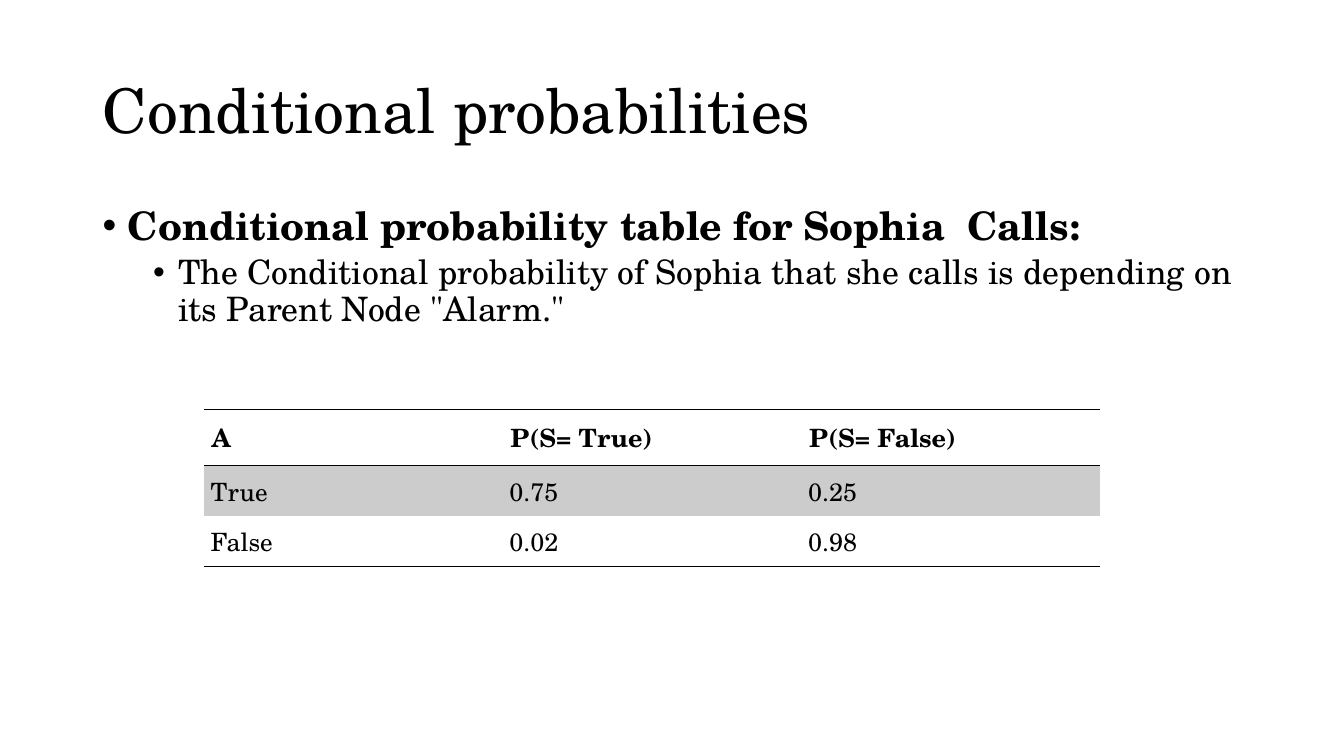
from dataclasses import dataclass

from lxml import etree
from pptx import Presentation, util as u
from pptx.dml.color import RGBColor
from pptx.enum import text
from pptx.oxml import ns


@dataclass(frozen=True)
class Theme:
    font: str = "TeX Gyre Schola"
    ink: RGBColor = RGBColor(0x00, 0x00, 0x00)
    band: RGBColor = RGBColor(0xCC, 0xCC, 0xCC)
    title: int = 44
    heading: int = 28
    detail: int = 24
    cell: int = 18
    rule: int = 1


THEME = Theme()
PROBABILITIES = [
    ["A", "P(S= True)", "P(S= False)"],
    ["True", "0.75", "0.25"],
    ["False", "0.02", "0.98"],
]
NO_STYLE = "{2D5ABB26-0587-4C30-8999-92F81FD0307C}"


def write(para, words, size, bold=False, line_spacing=1.0, before=0):
    span = para.add_run()
    span.text = words
    span.font.name = THEME.font
    span.font.size = u.Pt(size)
    span.font.bold = bold
    span.font.color.rgb = THEME.ink
    para.alignment = text.PP_ALIGN.LEFT
    para.line_spacing = line_spacing
    para.space_before = u.Pt(before)


def place(shape, left, top, width, height):
    shape.left, shape.top = u.Inches(left), u.Inches(top)
    shape.width, shape.height = u.Inches(width), u.Inches(height)


def add_bullet(para, indent):
    """Hang a round bullet a quarter inch before the indent."""
    props = para._p.get_or_add_pPr()
    props.set("marL", str(u.Inches(indent)))
    props.set("indent", str(u.Inches(-0.25)))
    etree.SubElement(props, ns.qn("a:buFont"), typeface="Arial")
    etree.SubElement(props, ns.qn("a:buChar"), char="•")


def set_borders(cell, ruled):
    """Rule the named sides (T, B) and clear the others."""
    props = cell._tc.get_or_add_tcPr()
    for position, side in enumerate("LRTB"):
        line = etree.Element(ns.qn(f"a:ln{side}"), w=str(u.Pt(THEME.rule)))
        if side in ruled:
            fill = etree.SubElement(line, ns.qn("a:solidFill"))
            etree.SubElement(fill, ns.qn("a:srgbClr"), val=str(THEME.ink))
        else:
            etree.SubElement(line, ns.qn("a:noFill"))
        props.insert(position, line)


def add_title(page, words):
    title = page.shapes.title
    place(title, 0.92, 0.4, 11.5, 1.45)
    title.text_frame.vertical_anchor = text.MSO_ANCHOR.MIDDLE
    write(title.text_frame.paragraphs[0], words, THEME.title, line_spacing=0.9)


def add_bullets(page, heading, detail):
    box = page.shapes.add_textbox(0, 0, 0, 0)
    place(box, 0.92, 2, 11.5, 4.76)
    frame = box.text_frame
    frame.word_wrap = True
    para = frame.paragraphs[0]
    write(para, heading, THEME.heading, bold=True, line_spacing=0.9, before=10)
    add_bullet(para, 0.25)
    para = frame.add_paragraph()
    para.level = 1
    write(para, detail, THEME.detail, line_spacing=0.9, before=5)
    add_bullet(para, 0.75)


def format_cell(cell, words, header, banded, ruled):
    inset = u.Inches(0.08 if header else 0.07)
    cell.margin_left = cell.margin_right = inset
    cell.margin_top = cell.margin_bottom = inset
    cell.vertical_anchor = text.MSO_ANCHOR.MIDDLE
    write(cell.text_frame.paragraphs[0], words, THEME.cell, bold=header)
    if banded:
        cell.fill.solid()
        cell.fill.fore_color.rgb = THEME.band
    else:
        cell.fill.background()
    set_borders(cell, ruled)


def add_probability_table(page, rows):
    frame = page.shapes.add_table(
        len(rows), len(rows[0]),
        u.Inches(2.02), u.Inches(4.06), u.Inches(8.89), u.Inches(1.56))
    table = frame.table
    table._tbl.tblPr.find(ns.qn("a:tableStyleId")).text = NO_STYLE
    table.horz_banding = False
    last = len(rows) - 1
    for r, row in enumerate(rows):
        header = r == 0
        table.rows[r].height = u.Inches(0.56 if header else 0.5)
        ruled = "TB" if header else "B" if r == last else "T" if r == 1 else ""
        for c, words in enumerate(row):
            format_cell(table.cell(r, c), words, header, r % 2 == 1, ruled)


def main():
    deck = Presentation()
    deck.slide_width, deck.slide_height = u.Inches(13.33), u.Inches(7.5)
    page = deck.slides.add_slide(deck.slide_layouts.get_by_name("Title Only"))
    add_title(page, "Conditional probabilities")
    add_bullets(
        page,
        "Conditional probability table for Sophia  Calls:",
        "The Conditional probability of Sophia that she calls is depending on "
        'its Parent Node "Alarm."')
    add_probability_table(page, PROBABILITIES)
    deck.save("out.pptx")


if __name__ == "__main__":
    main()
